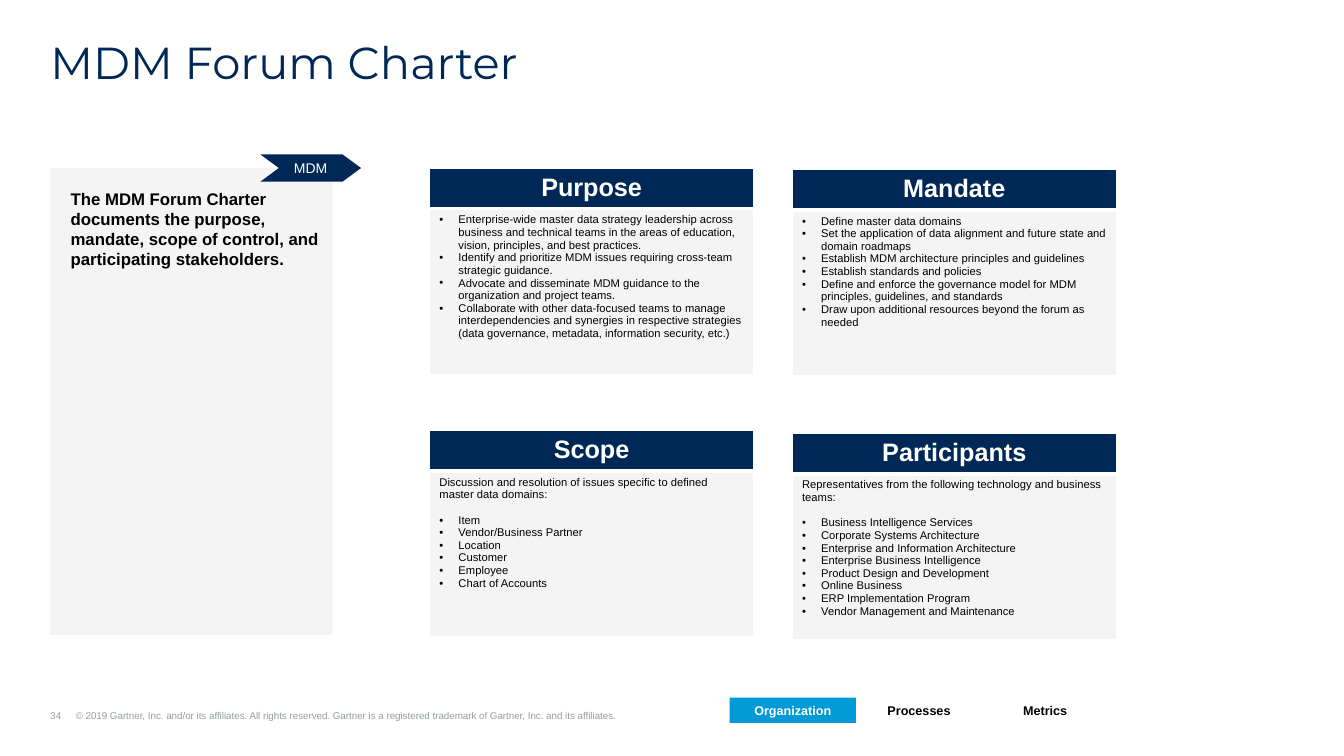
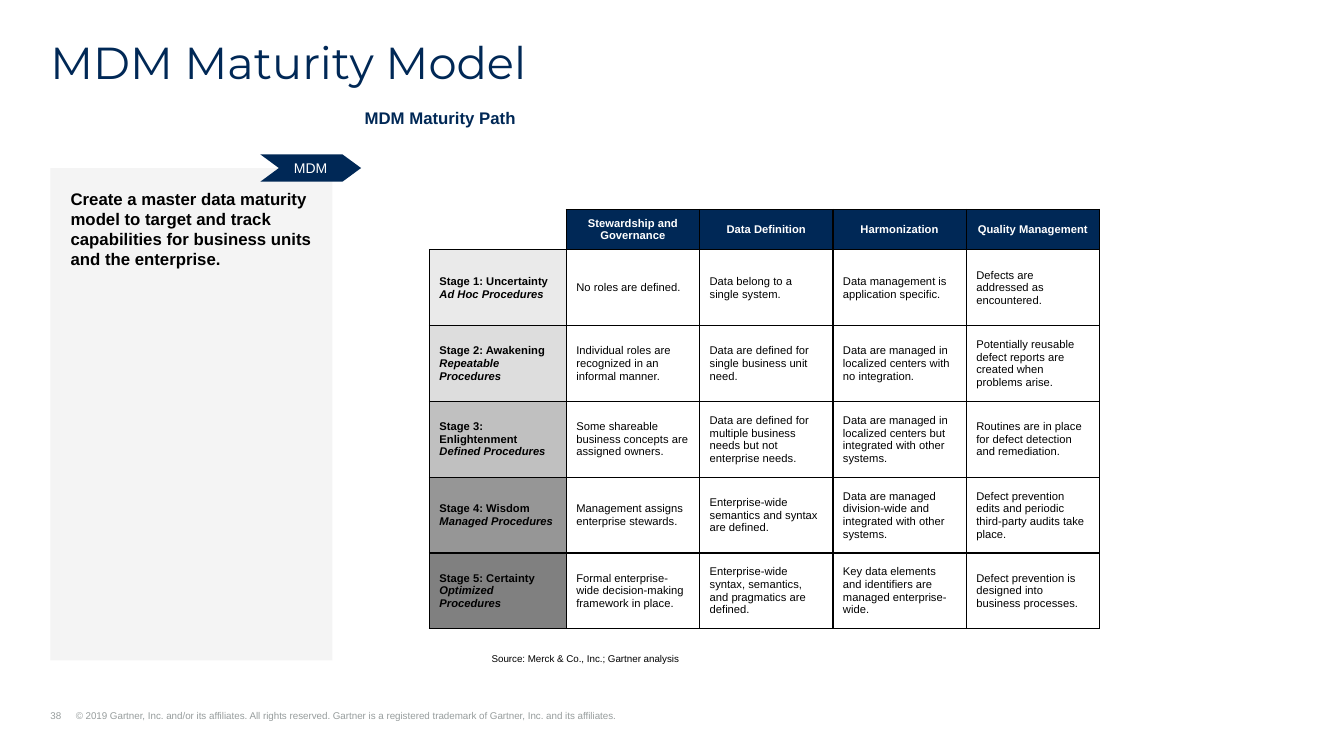
from dataclasses import dataclass, field

from lxml.etree import SubElement as Sub
from pptx import Presentation
from pptx.dml.color import RGBColor as Rgb
from pptx.enum.shapes import MSO_SHAPE as Shape
from pptx.enum.text import MSO_ANCHOR as Anchor, PP_ALIGN as Align
from pptx.oxml.ns import qn
from pptx.util import Cm, Pt


@dataclass
class Theme:
    """Colours and type sizes shared by all slides."""
    navy: str = "002856"
    blue: str = "009AD7"
    pale: str = "F4F4F4"
    white: str = "FFFFFF"
    black: str = "000000"
    gray: str = "979D9D"
    steps: tuple = ("EAEAEA", "DDDDDD", "C0C0C0", "969696", "808080")
    sizes: dict = field(default_factory=lambda: dict(
        title=32, head=18, lead=12, tag=10, tab=9, cell=8, note=7))


@dataclass
class Para:
    """One paragraph and what sets it apart."""
    text: str
    mark: bool = False
    gap: int = 0
    looks: dict = field(default_factory=dict)


class Deck:
    """Holds the theme and the current slide."""

    def __init__(self, theme):
        self.theme = theme
        self.show = Presentation()
        self.apply(self.show, dict(slide_width=Cm(33.87), slide_height=Cm(19.05)))

    def apply(self, item, values):
        for key, value in values.items():
            setattr(item, key, value)

    def paint(self, item, color):
        if color is None:
            item.fill.background()
        else:
            item.fill.solid()
            item.fill.fore_color.rgb = Rgb.from_string(color)

    def indent(self, para, width, sign=None):
        props = para._p.get_or_add_pPr()
        props.set("marL", str(Cm(width)))
        props.set("indent", str(-Cm(width)))
        if sign:
            Sub(props, qn("a:buFont"), typeface="Arial")
            Sub(props, qn("a:buChar"), char=sign)
        else:
            tabs = Sub(props, qn("a:tabLst"))
            Sub(tabs, qn("a:tab"), pos=str(Cm(width)), algn="l")

    def letter(self, frame, lines, size, color=None, face="Arial", bold=False,
               align=Align.LEFT, hang=0):
        for num, line in enumerate(lines):
            line = line if isinstance(line, Para) else Para(line)
            para = frame.add_paragraph() if num else frame.paragraphs[0]
            if line.mark:
                self.indent(para, 0.48, "•")
            elif hang:
                self.indent(para, hang)
            para.alignment = align
            if line.gap:
                para.space_before = Pt(line.gap)
            run = para.add_run()
            run.text = line.text
            looks = dict(name=face, size=Pt(self.theme.sizes[size]), bold=bold)
            self.apply(run.font, looks | line.looks)
            run.font.color.rgb = Rgb.from_string(color or self.theme.black)

    def frame(self, shape, pads, anchor):
        sides = ("margin_left", "margin_top", "margin_right", "margin_bottom")
        values = dict(zip(sides, map(Cm, pads)))
        self.apply(shape.text_frame, values | dict(
            word_wrap=True, vertical_anchor=anchor))
        return shape.text_frame

    def text(self, box, lines, size, pads=(0, 0, 0, 0), anchor=Anchor.TOP, **looks):
        shape = self.slide.shapes.add_textbox(*map(Cm, box))
        frame = self.frame(shape, pads, anchor)
        self.letter(frame, lines, size, **looks)
        return frame

    def block(self, kind, box, fill, lines, size, pads=(0, 0, 0, 0),
              anchor=Anchor.MIDDLE, **looks):
        shape = self.slide.shapes.add_shape(kind, *map(Cm, box))
        shape.shadow.inherit = False
        self.paint(shape, fill)
        shape.line.fill.background()
        self.letter(self.frame(shape, pads, anchor), lines, size, **looks)
        return shape

    def page(self, title, num, lead, height):
        self.slide = self.show.slides.add_slide(self.show.slide_layouts[6])
        self.text((1.27, 17.88, 20.29, 0.3), [
            f"{num}\t© 2019 Gartner, Inc. and/or its affiliates. All rights reserved. "
            "Gartner is a registered trademark of Gartner, Inc. and its affiliates."],
            "note", anchor=Anchor.BOTTOM, color=self.theme.gray, hang=0.64)
        frame = self.text((1.27, 1.02, 31.32, 1.22), [title], "title",
                          color=self.theme.navy, face="Montserrat")
        frame.paragraphs[0].line_spacing = 0.9
        self.block(Shape.RECTANGLE, (1.27, 4.24, 7.11, height), self.theme.pale,
                   [lead], "lead", pads=(0.51, 0.51, 0.25, 0.51),
                   anchor=Anchor.TOP, bold=True)

    def tag(self, text):
        arrow = self.block(Shape.CHEVRON, (6.56, 3.89, 2.54, 0.69), self.theme.navy,
                           [text], "tag", color=self.theme.white, align=Align.CENTER)
        arrow.adjustments[0] = 0.68

    def tabs(self, names, live):
        looks = dict(bold=True, align=Align.CENTER, anchor=Anchor.MIDDLE)
        for num, name in enumerate(names):
            box = (18.39 + 3.18 * num, 17.58, 3.18, 0.64)
            if name == live:
                self.block(Shape.RECTANGLE, box, self.theme.blue, [name], "tab",
                           color=self.theme.white, **looks)
            else:
                self.text(box, [name], "tab", **looks)

    def table(self, left, top, cols, rows):
        box = map(Cm, (left, top, sum(cols), sum(rows)))
        grid = self.slide.shapes.add_table(len(rows), len(cols), *box).table
        self.apply(grid, dict(first_row=False, horz_banding=False))
        for col, width in zip(grid.columns, cols):
            col.width = Cm(width)
        for row, height in zip(grid.rows, rows):
            row.height = Cm(height)
        return grid

    def cell(self, cell, lines, fill, edges, size="cell", anchor=Anchor.TOP, **looks):
        props = cell._tc.get_or_add_tcPr()
        for side in "LRTB":
            color, width = edges.get(side, (None, 1))
            line = Sub(props, qn(f"a:ln{side}"), w=str(Pt(width)))
            if color:
                Sub(Sub(line, qn("a:solidFill")), qn("a:srgbClr"), val=color)
            else:
                Sub(line, qn("a:noFill"))
        self.paint(cell, fill)
        cell.vertical_anchor = anchor
        self.letter(cell.text_frame, lines, size, **looks)

    def card(self, left, top, head, lines):
        white = self.theme.white
        grid = self.table(left, top, [8.18], [0.94, 4.17])
        thin = dict.fromkeys("LRTB", (white, 1))
        self.cell(grid.cell(0, 0), [head], self.theme.navy, thin | {"B": (white, 3)},
                  size="head", color=white, bold=True, align=Align.CENTER)
        self.cell(grid.cell(1, 0), lines, self.theme.pale, thin | {"T": (white, 3)})

    def matrix(self, left, top, heads, stages):
        theme = self.theme
        grid = self.table(left, top, [3.45] + [3.36] * len(heads),
                          [1.01] + [1.91] * len(stages))
        edges = dict.fromkeys("LRTB", (theme.black, 1))
        self.cell(grid.cell(0, 0), [], None, {side: edges[side] for side in "RB"})
        for col, head in enumerate(heads, 1):
            self.cell(grid.cell(0, col), [head], theme.navy, edges, anchor=Anchor.MIDDLE,
                      color=theme.white, bold=True, align=Align.CENTER)
        for row, (name, mode, *facts) in enumerate(stages, 1):
            lines = [name, Para(mode, looks=dict(italic=True))]
            self.cell(grid.cell(row, 0), lines, theme.steps[row - 1], edges,
                      anchor=Anchor.MIDDLE, bold=True)
            for col, fact in enumerate(facts, 1):
                self.cell(grid.cell(row, col), [fact], None, edges, anchor=Anchor.MIDDLE)


def points(*items, intro=None):
    """Make a bullet list, set apart from any intro line."""
    marks = [Para(item, mark=True) for item in items]
    if intro:
        marks[0].gap = 9
        return [intro, *marks]
    return marks


CARDS = (
    (10.82, 4.24, "Purpose", points(
        "Enterprise-wide master data strategy leadership across business and technical "
        "teams in the areas of education, vision, principles, and best practices.",
        "Identify and prioritize MDM issues requiring cross-team strategic guidance.",
        "Advocate and disseminate MDM guidance to the organization and project teams.",
        "Collaborate with other data-focused teams to manage interdependencies and "
        "synergies in respective strategies (data governance, metadata, information "
        "security, etc.)")),
    (10.82, 10.85, "Scope", points(
        "Item", "Vendor/Business Partner", "Location", "Customer", "Employee",
        "Chart of Accounts",
        intro="Discussion and resolution of issues specific to defined master data domains:")),
    (19.96, 4.27, "Mandate", points(
        "Define master data domains",
        "Set the application of data alignment and future state and domain roadmaps",
        "Establish MDM architecture principles and guidelines",
        "Establish standards and policies",
        "Define and enforce the governance model for MDM principles, guidelines, and standards",
        "Draw upon additional resources beyond the forum as needed")),
    (19.96, 10.92, "Participants", points(
        "Business Intelligence Services", "Corporate Systems Architecture",
        "Enterprise and Information Architecture", "Enterprise Business Intelligence",
        "Product Design and Development", "Online Business",
        "ERP Implementation Program", "Vendor Management and Maintenance",
        intro="Representatives from the following technology and business teams:")),
)

HEADS = ("Stewardship and Governance", "Data Definition", "Harmonization",
         "Quality Management")

STAGES = (
    ("Stage 1: Uncertainty", "Ad Hoc Procedures",
     "No roles are defined.",
     "Data belong to a single system.",
     "Data management is application specific.",
     "Defects are addressed as encountered."),
    ("Stage 2: Awakening", "Repeatable Procedures",
     "Individual roles are recognized in an informal manner.",
     "Data are defined for single business unit need.",
     "Data are managed in localized centers with no integration.",
     "Potentially reusable defect reports are created when problems arise."),
    ("Stage 3: Enlightenment", "Defined Procedures",
     "Some shareable business concepts are assigned owners.",
     "Data are defined for multiple business needs but not enterprise needs.",
     "Data are managed in localized centers but integrated with other systems.",
     "Routines are in place for defect detection and remediation."),
    ("Stage 4: Wisdom", "Managed Procedures",
     "Management assigns enterprise stewards.",
     "Enterprise-wide semantics and syntax are defined.",
     "Data are managed division-wide and integrated with other systems.",
     "Defect prevention edits and periodic third-party audits take place."),
    ("Stage 5: Certainty", "Optimized Procedures",
     "Formal enterprise-wide decision-making framework in place.",
     "Enterprise-wide syntax, semantics, and pragmatics are defined.",
     "Key data elements and identifiers are managed enterprise-wide.",
     "Defect prevention is designed into business processes."),
)


def main():
    """Build both slides and save them."""
    deck = Deck(Theme())
    deck.page("MDM Forum Charter", 34,
              "The MDM Forum Charter documents the purpose, mandate, scope of control, "
              "and participating stakeholders.", 11.76)
    deck.tabs(("Organization", "Processes", "Metrics"), "Organization")
    for card in CARDS:
        deck.card(*card)
    deck.tag("MDM")

    deck.page("MDM Maturity Model", 38,
              "Create a master data maturity model to target and track capabilities for "
              "business units and the enterprise.", 12.4)
    deck.matrix(10.82, 5.28, HEADS, STAGES)
    deck.text((12.14, 16.33, 12.7, 0.56), ["Source: Merck & Co., Inc.; Gartner analysis"],
              "note", pads=(0.25, 0.13, 0.25, 0.13))
    deck.tag("MDM")
    deck.text((9.19, 2.72, 8.23, 1.02), ["MDM Maturity Path"], "lead",
              color=deck.theme.navy, bold=True)
    deck.show.save("out.pptx")


if __name__ == "__main__":
    main()
